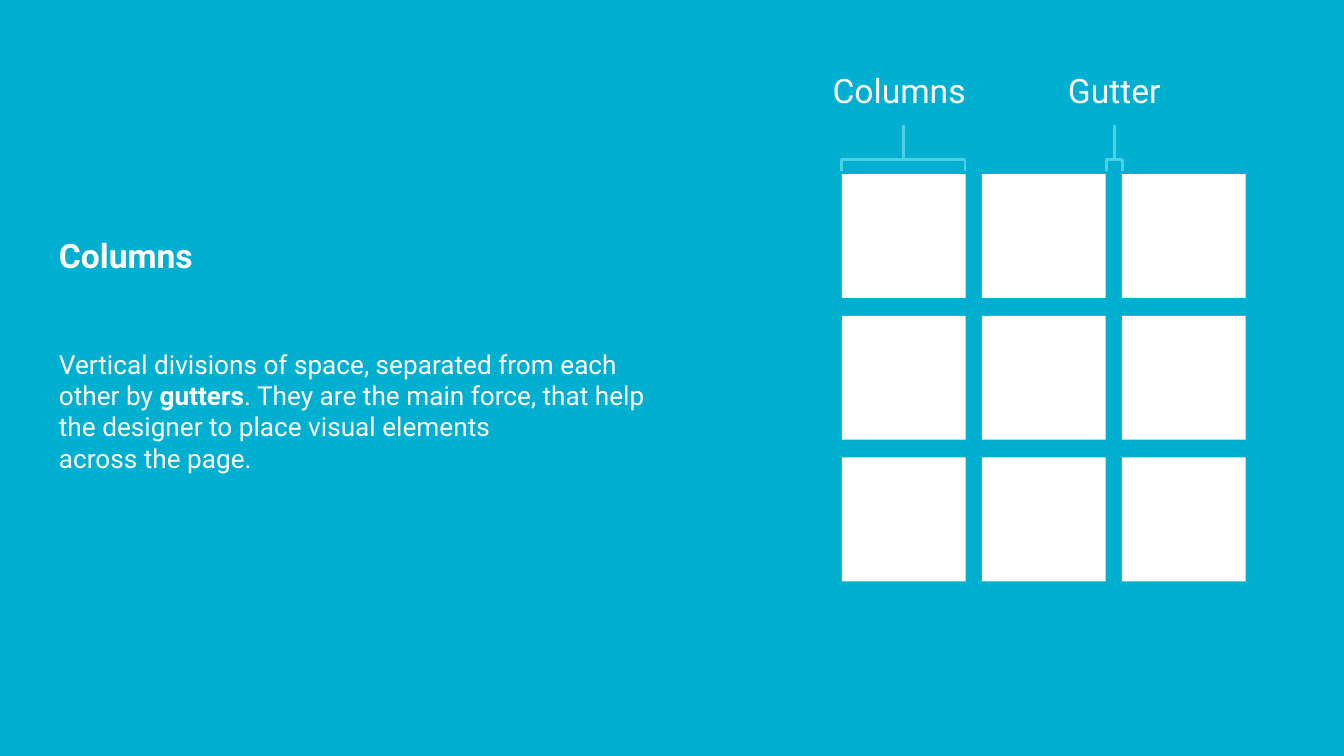
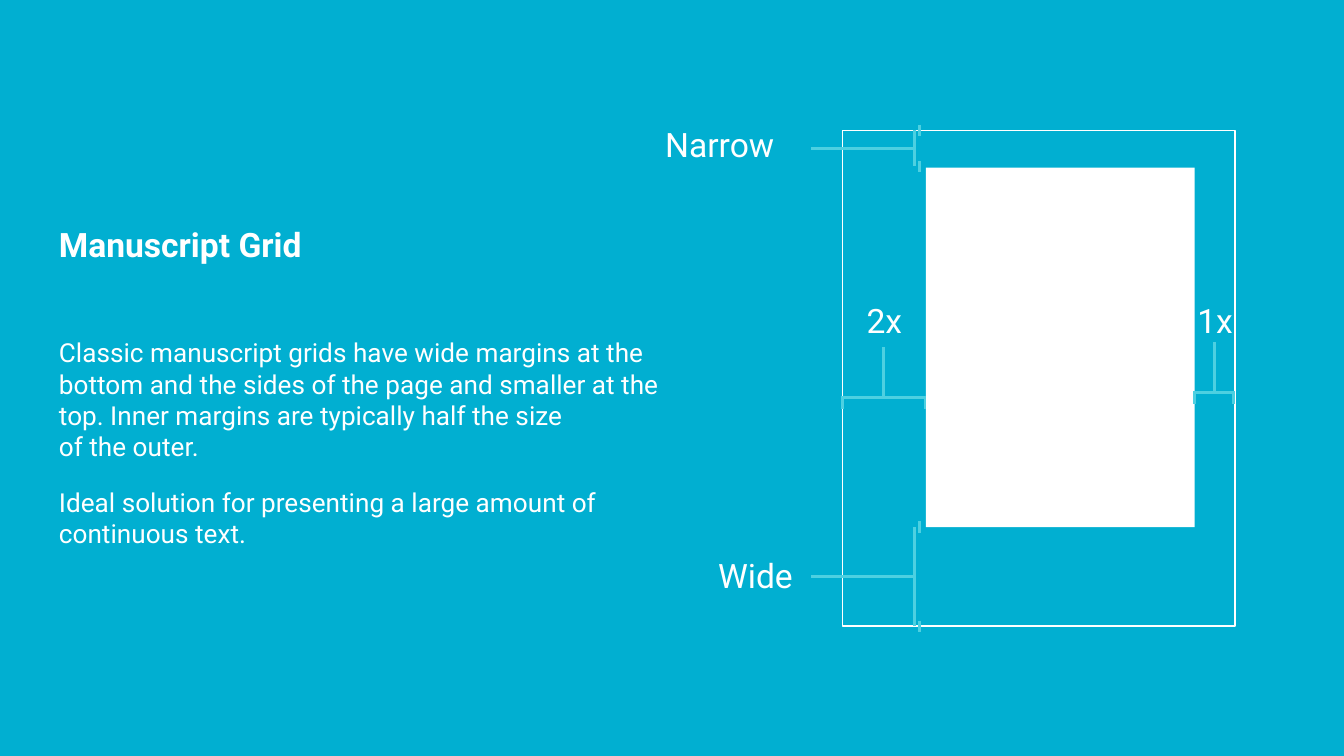
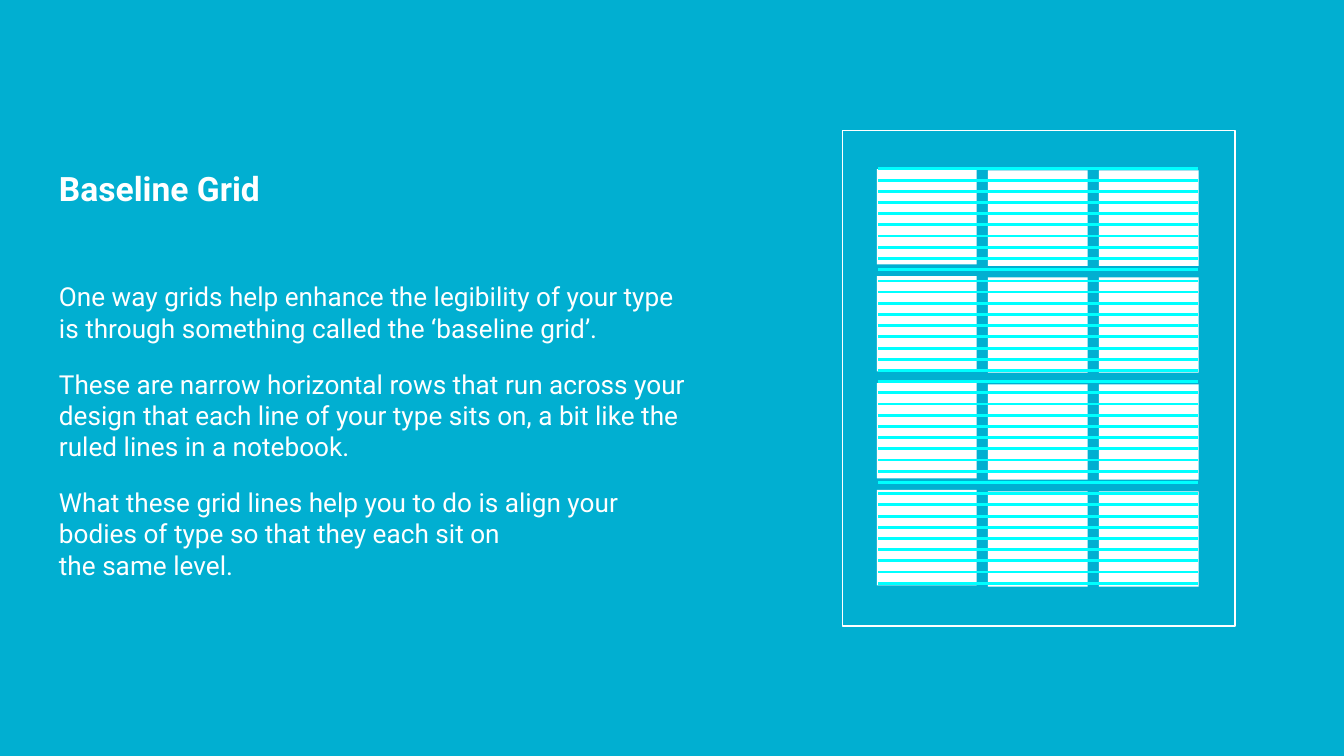
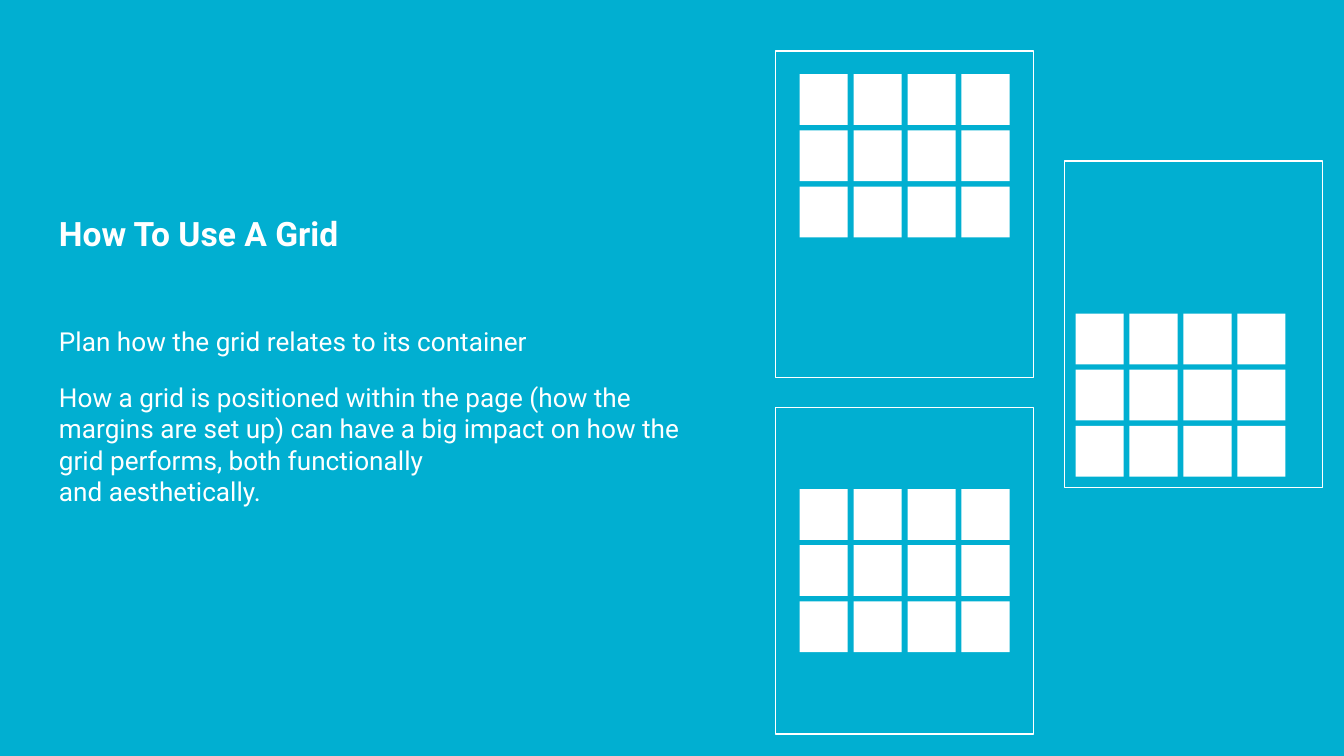
from itertools import product
from lxml.etree import SubElement
from pptx import Presentation
from pptx.dml.color import RGBColor as RGB
from pptx.enum.shapes import MSO_CONNECTOR as LINK, MSO_SHAPE as SHAPE
from pptx.enum.text import PP_ALIGN as ALIGN
from pptx.oxml.ns import qn
from pptx.util import Pt

COLORS = {"back": "01AFD1", "white": "FFFFFF", "mint": "4DD0E1", "cyan": "00FFFF"}
FONT = "Roboto"
LEFT = 24.5
FRAME = (451.4, 69.8, 210.2, 265.7)


def write(slide, box, size, paras, bold=False, align=ALIGN.LEFT):
    frame = slide.shapes.add_textbox(*[Pt(n) for n in box]).text_frame
    frame.word_wrap = True
    frame.margin_left = frame.margin_right = Pt(7.2)
    frame.margin_top = frame.margin_bottom = Pt(7.2)
    for i, runs in enumerate(paras):
        para = frame.add_paragraph() if i else frame.paragraphs[0]
        para.alignment = align
        if i:
            para.space_before = Pt(13)
        for words in runs:
            if words == "\n":
                para.add_line_break()
                continue
            run = para.add_run()
            run.text = words
            font = run.font
            font.name = FONT
            font.size = Pt(size)
            font.bold = bold or words == "gutters"
            font.color.rgb = RGB.from_string(COLORS["white"])


def draw(slide, kind, box, color="white"):
    spots = [Pt(n) for n in box]
    if kind == "line":
        item = slide.shapes.add_connector(LINK.STRAIGHT, *spots)
        SubElement(item._element.spPr, qn("a:effectLst"))
    else:
        item = slide.shapes.add_shape(SHAPE.RECTANGLE, *spots)
        item.shadow.inherit = False
    tint = RGB.from_string(COLORS[color])
    if kind == "block":
        item.fill.solid()
        item.fill.fore_color.rgb = tint
        item.line.fill.background()
        return
    if kind == "frame":
        item.fill.background()
    item.line.color.rgb = tint
    item.line.width = Pt(1.5 if kind == "line" else 0.75)


pages = [
    ("Columns", 118.8, 345, [
        ["Vertical divisions of space, separated from each other by ", "gutters",
         ". They are the main force, that help the designer to place visual elements ",
         "\n", "across the page."],
    ]),
    ("Manuscript Grid", 112.6, 356.4, [
        ["Classic manuscript grids have wide margins at the bottom and the sides of "
         "the page and smaller at the top. Inner margins are typically half the size ",
         "\n", "of the outer."],
        ["Ideal solution for presenting a large amount of continuous text."],
    ]),
    ("Baseline Grid", 82.8, 356.4, [
        ["One way grids help enhance the legibility of your type is through "
         "something called the ‘baseline grid’."],
        ["These are narrow horizontal rows that run across your design that each line "
         "of your type sits on, a bit like the ruled lines in a notebook."],
        ["What these grid lines help you to do is align your bodies of type so that "
         "they each sit on ", "\n", "the same level."],
    ]),
    ("How To Use A Grid", 106.7, 356.4, [
        ["Plan how the grid relates to its container"],
        ["How a grid is positioned within the page (how the margins are set up) can "
         "have a big impact on how the grid performs, both functionally ",
         "\n", "and aesthetically."],
    ]),
]

deck = Presentation()
deck.slide_width = Pt(720)
deck.slide_height = Pt(405)
slides = []
for title, top, wide, paras in pages:
    slide = deck.slides.add_slide(deck.slide_layouts[6])
    slide.background.fill.solid()
    slide.background.fill.fore_color.rgb = RGB.from_string(COLORS["back"])
    write(slide, (LEFT, top, 345, 48.2), 18, [[title]], bold=True)
    write(slide, (LEFT, top + 60.5, wide, 120.2), 14, paras)
    slides.append(slide)
cols, script, base, usage = slides

for col, row in product(range(3), range(3)):
    draw(cols, "block", (451 + 75 * col, 93.3 + 75.9 * row, 66.4, 66.4))

draw(script, "frame", FRAME)
draw(script, "block", (496.1, 89.8, 143.9, 192.7))

spans = [
    (cols, 450.8, 517, 85.6, 67),
    (cols, 592.6, 601.2, 85.6, 67),
    (script, 451.4, 495.6, 213, 186),
    (script, 640, 661, 210.2, 183),
]
for slide, start, end, y, peak in spans:
    mid = (start + end) / 2
    draw(slide, "line", (start, y, end, y), "mint")
    draw(slide, "line", (mid, y, mid, peak), "mint")
    for x in (start, end):
        draw(slide, "line", (x, y - 0.6, x, y + 6), "mint")

for start, end in [(69.8, 89.2), (282.4, 335.5)]:
    mid = (start + end) / 2
    draw(script, "line", (489.8, start, 489.8, end), "mint")
    draw(script, "line", (490.3, mid, 434.6, mid), "mint")
    for y in (start, end):
        draw(script, "line", (492.6, y - 3, 492.6, y + 3), "mint")

labels = [
    (cols, "Columns", 430.6, 30.2, 102.2),
    (cols, "Gutter", 561.6, 30.2, 70.6),
    (script, "2x", 442, 153.4, 63.4),
    (script, "1x", 619.2, 153.4, 63.4),
    (script, "Narrow", 334.8, 59, 101.5),
    (script, "Wide", 373, 290.2, 63.4),
]
for slide, words, x, y, wide in labels:
    write(slide, (x, y, wide, 48.2), 18, [[words]], align=ALIGN.CENTER)

for col, row in product(range(3), range(4)):
    drop = 0.7 if col else 0
    draw(base, "block", (469.7 + 59.5 * col, 90.6 + drop + 57.3 * row, 53.5, 51.1))
for step in range(38):
    y = 90.5 + 6 * step
    draw(base, "line", (470.6, y, 641.8, y), "cyan")
draw(base, "frame", FRAME)

sheets = [
    (415.4, 27.4, 428.4, 39.8),
    (570.2, 86.2, 576.2, 168),
    (415.4, 218.2, 428.4, 262),
]
for left, top, x, y in sheets:
    draw(usage, "frame", (left, top, 138.2, 175))
    for col, row in product(range(4), range(3)):
        draw(usage, "block", (x + 28.9 * col, y + 30.1 * row, 25.8, 27.2))

deck.save("out.pptx")
